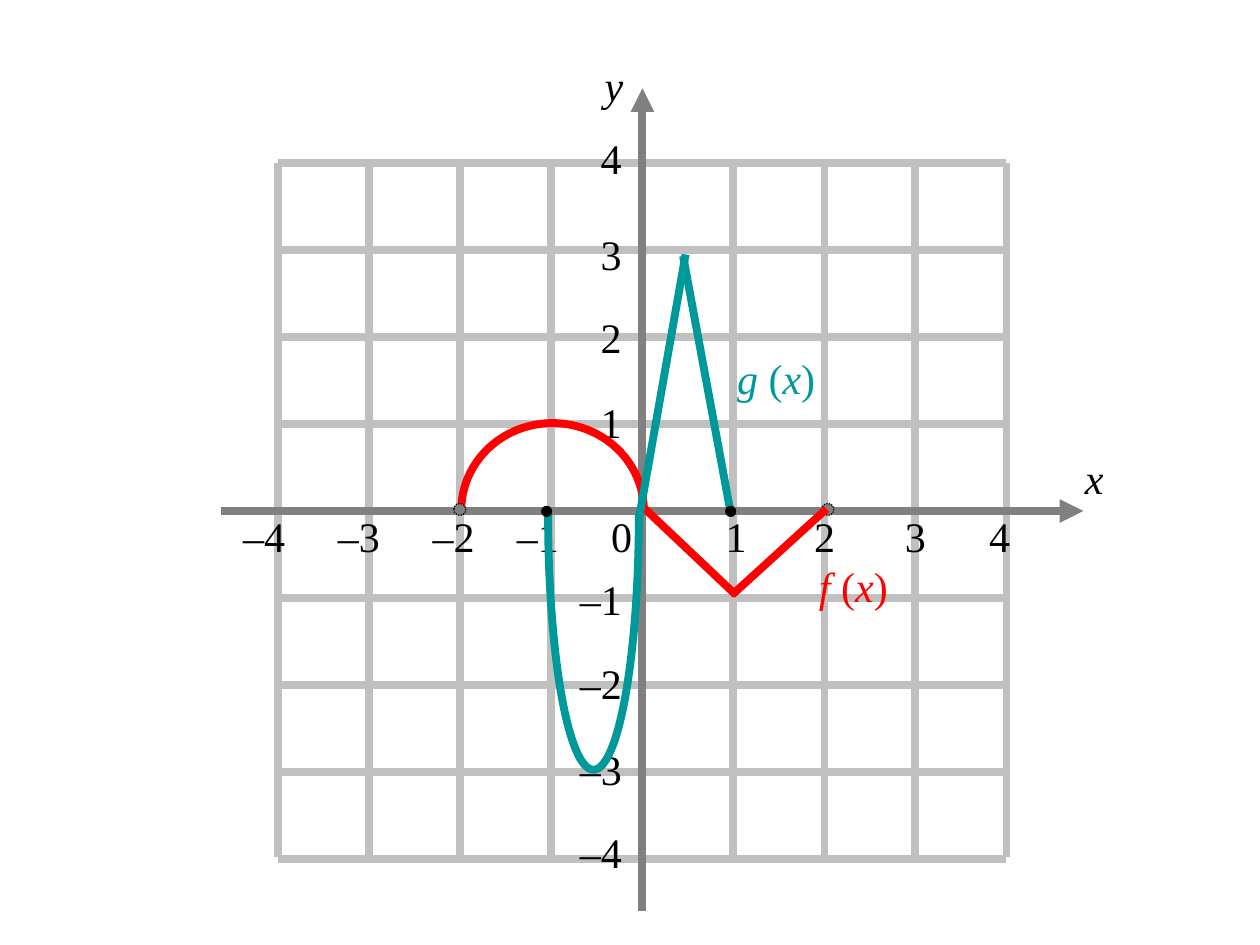
"""Draw the graphs of f and g on one coordinate grid."""
from dataclasses import dataclass

from lxml import etree
from pptx import Presentation
from pptx.dml.color import RGBColor
from pptx.enum.dml import MSO_LINE
from pptx.enum.shapes import MSO_CONNECTOR, MSO_SHAPE
from pptx.oxml.ns import qn
from pptx.util import Cm, Pt

STRAIGHT = MSO_CONNECTOR.STRAIGHT
ARC = MSO_SHAPE.ARC
OVAL = MSO_SHAPE.OVAL
DOTTED = MSO_LINE.ROUND_DOT
UPPER = (108, 0)
LOWER = (0, 108)


@dataclass(frozen=True)
class Theme:
    font: str = "Times New Roman"
    size: float = 24
    thick: float = 4.5
    thin: float = 0.75
    grid: str = "C0C0C0"
    axis: str = "808080"
    ink: str = "000000"
    red: str = "FF0000"
    teal: str = "009999"


class Board:
    def __init__(self, slide, theme):
        self.slide = slide
        self.theme = theme

    def stroke(self, line, color, width):
        line.color.rgb = RGBColor.from_string(color)
        line.width = Pt(width)

    def line(self, start, end, color, arrow=False):
        ends = [Cm(v) for v in (*start, *end)]
        link = self.slide.shapes.add_connector(STRAIGHT, *ends)
        self.stroke(link.line, color, self.theme.thick)
        props = link._element.spPr
        if arrow:
            etree.SubElement(props.find(qn("a:ln")), qn("a:tailEnd"), type="triangle")
        etree.SubElement(props, qn("a:effectLst"))

    def arc(self, box, half, color):
        arc = self.slide.shapes.add_shape(ARC, *map(Cm, box))
        arc.shadow.inherit = False
        for i, angle in enumerate(half):
            arc.adjustments[i] = angle
        arc.fill.background()
        self.stroke(arc.line, color, self.theme.thick)

    def dot(self, center, size, color, dash=None):
        left, top = (v - size / 2 for v in center)
        dot = self.slide.shapes.add_shape(OVAL, Cm(left), Cm(top), Cm(size), Cm(size))
        dot.shadow.inherit = False
        dot.fill.solid()
        dot.fill.fore_color.rgb = RGBColor.from_string(color)
        self.stroke(dot.line, self.theme.ink, self.theme.thin)
        dot.line.dash_style = dash

    def text(self, box, runs, color, pad=(0.25, 0.13)):
        frame = self.slide.shapes.add_textbox(*map(Cm, box)).text_frame
        side, edge = map(Cm, pad)
        format = {"word_wrap": True, "margin_left": side, "margin_right": side,
                  "margin_top": edge, "margin_bottom": edge}
        for key, value in format.items():
            setattr(frame, key, value)
        for words, slant in runs:
            run = frame.paragraphs[0].add_run()
            run.text = words
            style = {"name": self.theme.font, "size": Pt(self.theme.size), "italic": slant}
            for key, value in style.items():
                setattr(run.font, key, value)
            run.font.color.rgb = RGBColor.from_string(color)

    def label(self, left, top, words):
        self.text((left, top, 1.9, 1.24), [(words, False)], self.theme.ink)

    def title(self, box, name, color):
        runs = [(name, True), (" (", False), ("x", True), (")", False)]
        self.text(box, runs, color, (0, 0))


def main():
    deck = Presentation()
    deck.slide_width, deck.slide_height = Cm(25.4), Cm(19.05)
    theme = Theme()
    board = Board(deck.slides.add_slide(deck.slide_layouts[6]), theme)

    left, right, top, base = 5.61, 20.29, 3.28, 17.32
    cells = 8
    for i in range(cells + 1):
        x = left + i * (right - left) / cells
        board.line((x, top), (x, 17.27), theme.grid)
    for i in range(cells + 1):
        y = base - i * (base - top) / cells
        board.line((left, y), (20.27, y), theme.grid)

    board.line((4.45, 10.3), (21.84, 10.3), theme.axis, arrow=True)
    board.line((12.95, 18.36), (12.95, 1.78), theme.axis, arrow=True)
    for name, x, y in (("x", 21.62, 8.99), ("y", 11.94, 1.07)):
        board.text((x, y, 2.51, 2.51), [(name, True)], theme.ink)

    places = (4.44, 6.35, 8.26, 9.96, 11.86, 14.17, 15.95, 17.78, 19.48)
    for value, x in enumerate(places, -4):
        board.label(x, 10.16, f" –{-value}" if value < 0 else f" {value}")
    for value, y in enumerate((7.87, 6.15, 4.47, 2.54), 1):
        board.label(11.86, y, str(value))
    for value, y in enumerate((11.43, 13.13, 14.86, 16.54), 1):
        board.label(11.23, y, f" –{value}")

    board.arc((9.3, 8.53, 3.68, 3.51), UPPER, theme.red)
    for x in (9.27, 16.69):
        board.dot((x, 10.27), 0.24, theme.axis, DOTTED)
    board.line((12.95, 10.21), (14.83, 11.99), theme.red)
    board.line((14.76, 11.99), (16.66, 10.26), theme.red)
    board.title((16.51, 11.3, 2.77, 2.11), "f", theme.red)

    board.title((14.86, 7.11, 1.8, 1.09), "g", theme.teal)
    board.arc((11.05, 5.21, 1.83, 10.31), LOWER, theme.teal)
    board.line((12.88, 10.46), (13.82, 5.13), theme.teal)
    board.line((13.77, 5.16), (14.73, 10.34), theme.teal)
    for x in (11.02, 14.73):
        board.dot((x, 10.31), 0.2, theme.ink)

    deck.save("out.pptx")


if __name__ == "__main__":
    main()
